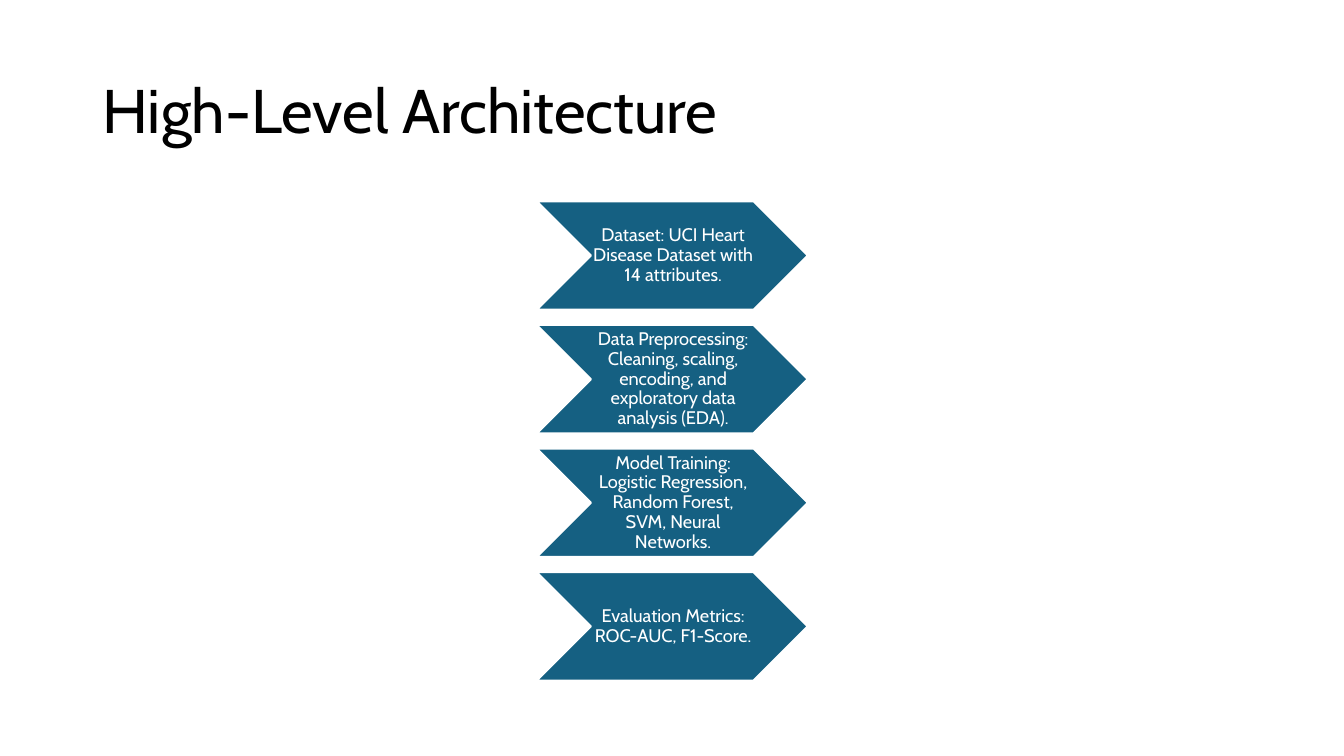
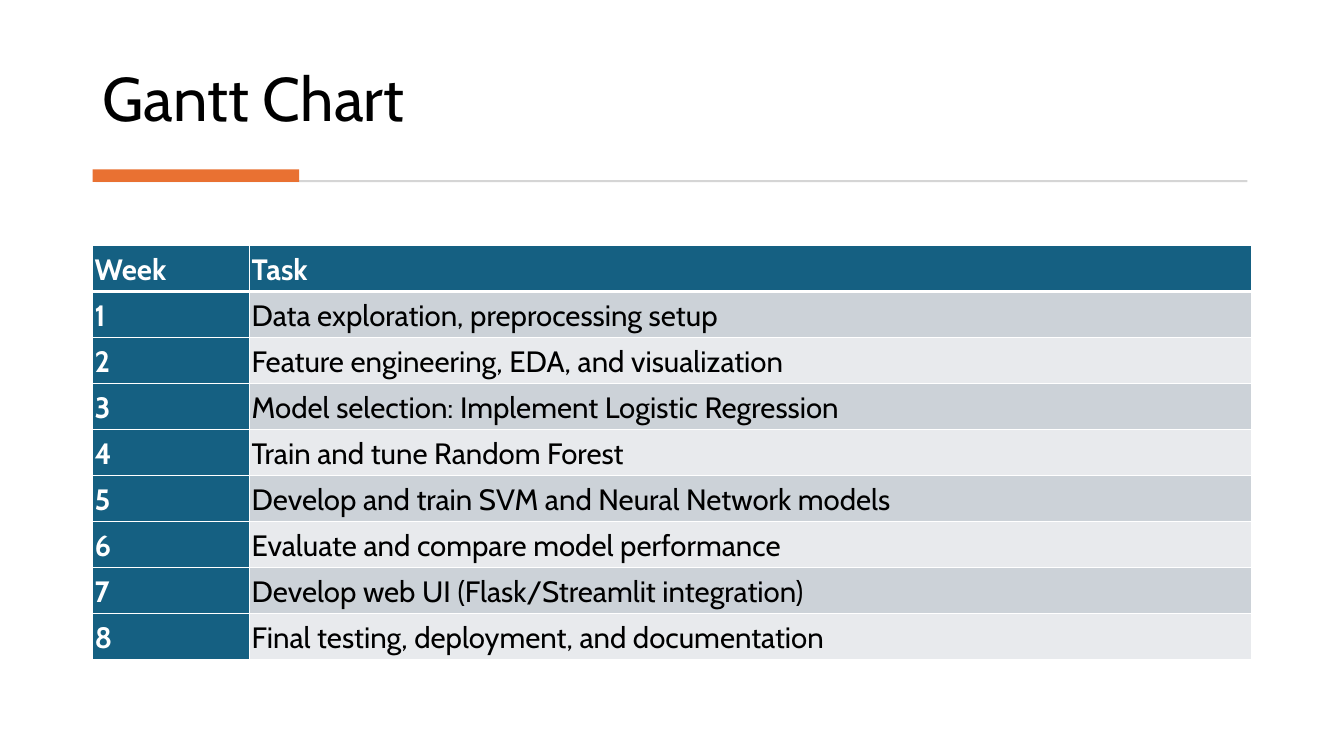
from lxml.etree import SubElement
from pptx import Presentation
from pptx.dml.color import RGBColor
from pptx.enum.shapes import MSO_SHAPE
from pptx.enum.text import MSO_ANCHOR, PP_ALIGN
from pptx.oxml.ns import qn
from pptx.util import Pt

FONT = "Cabin"
BLACK, WHITE = "000000", "FFFFFF"
TEAL, ORANGE, RULE_GRAY = "156082", "E97132", "D5D5D5"
BAND_FILLS = ["CCD2D8", "E8EAED"]
LEFT = 66.2
TITLE_STYLE = {"size": Pt(44), "name": FONT}
STEP_STYLE = {"size": Pt(13), "name": FONT}
CELL_STYLE = {"size": Pt(21), "name": FONT}


def write(frame, text, style, color, spacing, align=PP_ALIGN.LEFT):
    """Put one styled paragraph into a text frame and return it."""
    para = frame.paragraphs[0]
    para.line_spacing = spacing
    para.alignment = align
    span = para.add_run()
    span.text = text
    for name, value in style.items():
        setattr(span.font, name, value)
    span.font.color.rgb = RGBColor.from_string(color)
    return para


def add_filled(page, preset, left, top, width, height, color):
    shape = page.shapes.add_shape(preset, Pt(left), Pt(top), Pt(width), Pt(height))
    shape.shadow.inherit = False
    shape.fill.solid()
    shape.fill.fore_color.rgb = RGBColor.from_string(color)
    shape.line.fill.background()
    return shape


deck = Presentation()
deck.slide_width, deck.slide_height = Pt(960), Pt(540)

# Pages and titles
titles = [
    ("High-Level Architecture", 28.8, 104.4, MSO_ANCHOR.MIDDLE),
    ("Gantt Chart", 20.2, 79.9, MSO_ANCHOR.BOTTOM),
]
pages = []
for text, top, height, anchor in titles:
    page = deck.slides.add_slide(deck.slide_layouts[6])
    box = page.shapes.add_textbox(Pt(LEFT), Pt(top), Pt(828), Pt(height))
    box.text_frame.word_wrap = True
    box.text_frame.vertical_anchor = anchor
    write(box.text_frame, text, TITLE_STYLE, BLACK, 0.9)
    pages.append(page)
architecture_page, gantt_page = pages

# Architecture: a column of chevrons
steps = [
    "Dataset: UCI Heart Disease Dataset with 14 attributes.",
    "Data Preprocessing: Cleaning, scaling, encoding, and exploratory data analysis (EDA).",
    "Model Training: Logistic Regression, Random Forest, SVM, Neural Networks.",
    "Evaluation Metrics: ROC-AUC, F1-Score.",
]
STEP_TOP, STEP_PITCH = 143.8, 88.3
step_frame = {
    "word_wrap": True,
    "vertical_anchor": MSO_ANCHOR.MIDDLE,
    "margin_left": Pt(1.2),
    "margin_right": Pt(0),
    "margin_top": Pt(0.6),
    "margin_bottom": Pt(0.6),
}
for index, text in enumerate(steps):
    top = STEP_TOP + index * STEP_PITCH
    chevron = add_filled(architecture_page, MSO_SHAPE.CHEVRON, 383.3, top, 193.7, 77.5, TEAL)
    chevron.line.color.rgb = RGBColor.from_string(WHITE)
    chevron.line.width = Pt(1.5)
    for name, value in step_frame.items():
        setattr(chevron.text_frame, name, value)
    write(chevron.text_frame, text, STEP_STYLE, WHITE, 0.9, PP_ALIGN.CENTER)

# Gantt: rule with accent under the title
add_filled(gantt_page, MSO_SHAPE.RECTANGLE, 68.4, 128.7, 822.6, 1.4, RULE_GRAY)
add_filled(gantt_page, MSO_SHAPE.RECTANGLE, LEFT, 121.1, 147.5, 8.9, ORANGE)

# Gantt: week table
tasks = [
    "Data exploration, preprocessing setup",
    "Feature engineering, EDA, and visualization",
    "Model selection: Implement Logistic Regression",
    "Train and tune Random Forest",
    "Develop and train SVM and Neural Network models",
    "Evaluate and compare model performance",
    "Develop web UI (Flask/Streamlit integration)",
    "Final testing, deployment, and documentation",
]
rows = [("Week", "Task")] + [(str(week), task) for week, task in enumerate(tasks, 1)]
ROW_HEIGHT = 32.88
cell_format = {
    "vertical_anchor": MSO_ANCHOR.MIDDLE,
    "margin_left": Pt(1.4),
    "margin_right": Pt(1.4),
    "margin_top": Pt(1.4),
    "margin_bottom": Pt(1.4),
}
table = gantt_page.shapes.add_table(
    len(rows), 2, Pt(LEFT), Pt(175.3), Pt(828), Pt(ROW_HEIGHT * len(rows))
).table
table.first_col = True
for column, width in zip(table.columns, (112.2, 715.8)):
    column.width = Pt(width)

for row_index, row in enumerate(rows):
    table.rows[row_index].height = Pt(ROW_HEIGHT)
    for column_index, text in enumerate(row):
        cell = table.cell(row_index, column_index)
        for name, value in cell_format.items():
            setattr(cell, name, value)

        # The edge between header and body is thicker than the others
        widths = {
            "a:lnL": 1,
            "a:lnR": 1,
            "a:lnT": 3 if row_index == 1 else 1,
            "a:lnB": 3 if row_index == 0 else 1,
        }
        properties = cell._tc.get_or_add_tcPr()
        for tag, width in widths.items():
            border = SubElement(properties, qn(tag), w=str(Pt(width)))
            fill = SubElement(border, qn("a:solidFill"))
            SubElement(fill, qn("a:srgbClr"), val=WHITE)

        is_heading = row_index == 0 or column_index == 0
        cell_color = TEAL if is_heading else BAND_FILLS[(row_index - 1) % 2]
        cell.fill.solid()
        cell.fill.fore_color.rgb = RGBColor.from_string(cell_color)
        style = {**CELL_STYLE, "bold": is_heading}
        para = write(cell.text_frame, text, style, WHITE if is_heading else BLACK, 1.07)
        para.space_after = Pt(8)

deck.save("out.pptx")
